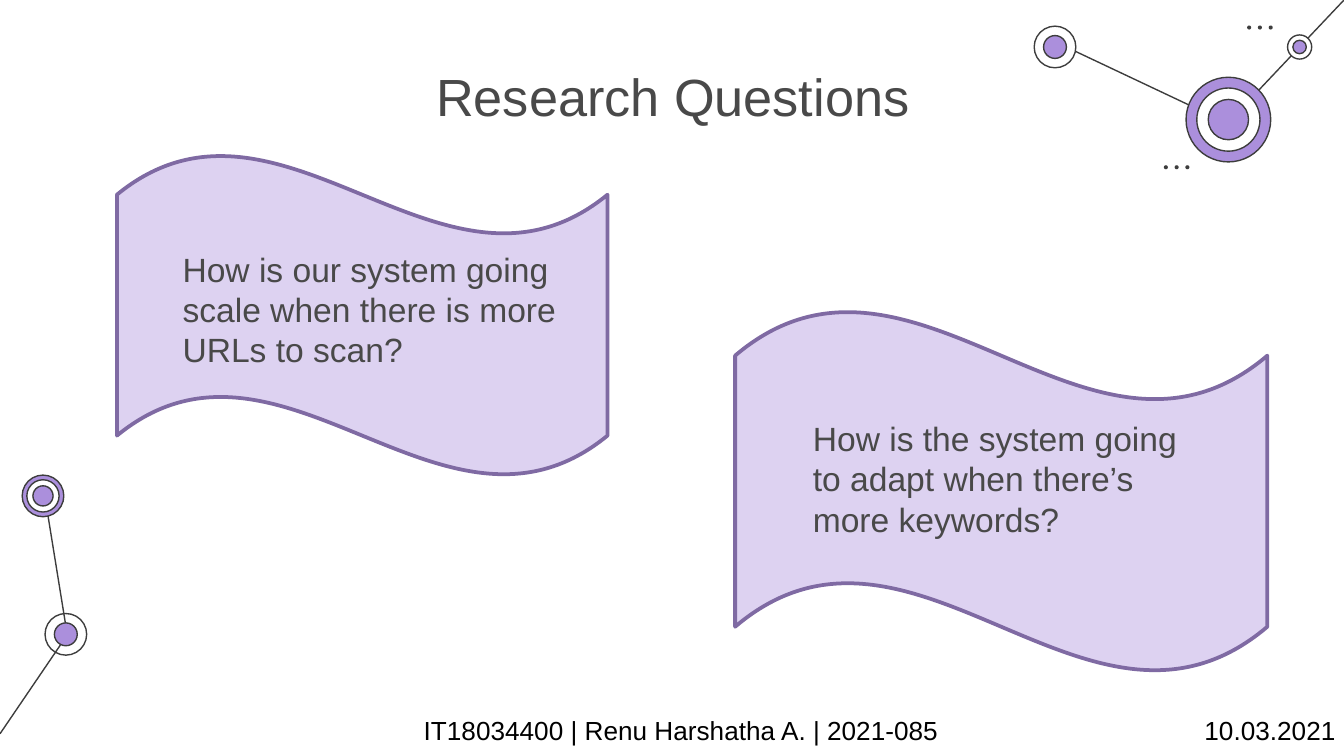
from pptx import Presentation, util as u
from pptx.dml.color import RGBColor
from pptx.enum import shapes, text
from pptx.oxml.ns import qn
from lxml import etree

PURPLE = RGBColor(0xAB, 0x8F, 0xDC)
PALE = RGBColor(0xDD, 0xD2, 0xF1)
EDGE = RGBColor(0x7F, 0x6A, 0xA3)
DARK = RGBColor(0x3D, 0x3D, 0x3D)
GREY = RGBColor(0x49, 0x49, 0x49)
WHITE = RGBColor(0xFF, 0xFF, 0xFF)
BLACK = RGBColor(0, 0, 0)

# Content: boxes are left, top, width, height in inches
TITLE = ("Research Questions", (2.77, 0.38, 4.47, 0.63))
FOOTER = ("\tIT18034400 | Renu Harshatha A. | 2021-085\t10.03.2021",
          (0.06, 5.27, 10, 0.34))
FOOTER_TABS = [(4.91, "ctr"), (9.78, "r")]
QUESTIONS = [
    ("How is our system going scale when there is more URLs to scan?",
     (0.87, 1.15, 3.65, 2.39), (1.26, 1.8, 3.02, 1.01)),
    ("How is the system going to adapt when there’s more keywords?",
     (5.47, 2.31, 3.96, 2.69), (5.95, 3.06, 3.17, 1.05)),
]
LINKS = [
    (0.5, 4.72, 0.33, 3.67), (0, 5.46, 0.49, 4.74),
    (9.14, 0.92, 7.87, 0.32), (10, 0, 9.14, 0.91),
]
# Nodes: centre, then (diameter, fill) from the outer ring inwards
NODES = [
    ((0.49, 4.72), [(0.31, None), (0.17, PURPLE)]),
    ((0.32, 3.69), [(0.31, PURPLE), (0.24, WHITE), (0.15, PURPLE)]),
    ((9.14, 0.89), [(0.63, PURPLE), (0.47, WHITE), (0.3, PURPLE)]),
    ((7.85, 0.35), [(0.31, WHITE), (0.17, PURPLE)]),
    ((9.67, 0.35), [(0.18, WHITE), (0.1, PURPLE)]),
]
DOT_ROWS = [(9.28, 0.19), (8.66, 1.23)]
DOT_SIZE, DOT_STEP = 0.03, 0.08

# 16:9 slide
presentation = Presentation()
presentation.slide_width = u.Inches(10)
presentation.slide_height = u.Inches(10 * 9 / 16)
slide = presentation.slides.add_slide(presentation.slide_layouts[6])


def inches(values):
    return [u.Inches(value) for value in values]


def add_shape(kind, box, fill, line=None, width=0.75):
    shape = slide.shapes.add_shape(kind, *inches(box))
    shape.shadow.inherit = False
    if fill is None:
        shape.fill.background()
    else:
        shape.fill.solid()
        shape.fill.fore_color.rgb = fill
    if line is None:
        shape.line.fill.background()
    else:
        shape.line.color.rgb = line
        shape.line.width = u.Pt(width)


def add_text(words, box, size, color, frame_format=None, align=None, tabs=()):
    frame = slide.shapes.add_textbox(*inches(box)).text_frame
    for name, value in {"word_wrap": True, **(frame_format or {})}.items():
        setattr(frame, name, value)
    paragraph = frame.paragraphs[0]
    paragraph.text = words
    paragraph.alignment = align
    if tabs:
        tab_list = etree.SubElement(paragraph._p.get_or_add_pPr(), qn("a:tabLst"))
        for position, tab_align in tabs:
            etree.SubElement(tab_list, qn("a:tab"), pos=str(u.Inches(position)), algn=tab_align)
    font = paragraph.runs[0].font
    for name, value in {"name": "Arial", "size": u.Pt(size)}.items():
        setattr(font, name, value)
    font.color.rgb = color


# Network lines
for link in LINKS:
    connector = slide.shapes.add_connector(shapes.MSO_CONNECTOR.STRAIGHT, *inches(link))
    connector.line.color.rgb = DARK
    connector.line.width = u.Pt(0.75)
    etree.SubElement(connector._element.spPr, qn("a:effectLst"))

# Ringed nodes
for (x, y), rings in NODES:
    for size, fill in rings:
        add_shape(shapes.MSO_SHAPE.OVAL, (x - size / 2, y - size / 2, size, size), fill, DARK)

# Rows of three dots
for x, y in DOT_ROWS:
    for i in range(3):
        add_shape(shapes.MSO_SHAPE.OVAL, (x + i * DOT_STEP, y, DOT_SIZE, DOT_SIZE), DARK)

# Title and footer
add_text(*TITLE, 28, GREY,
         {"margin_top": u.Inches(0.1), "margin_bottom": u.Inches(0.1)},
         text.PP_ALIGN.CENTER)
add_text(*FOOTER, 14, BLACK, tabs=FOOTER_TABS)

# Question banners
for question, wave_box, text_box in QUESTIONS:
    add_shape(shapes.MSO_SHAPE.WAVE, wave_box, PALE, EDGE, 2)
    add_text(question, text_box, 18, GREY)

presentation.save("out.pptx")
